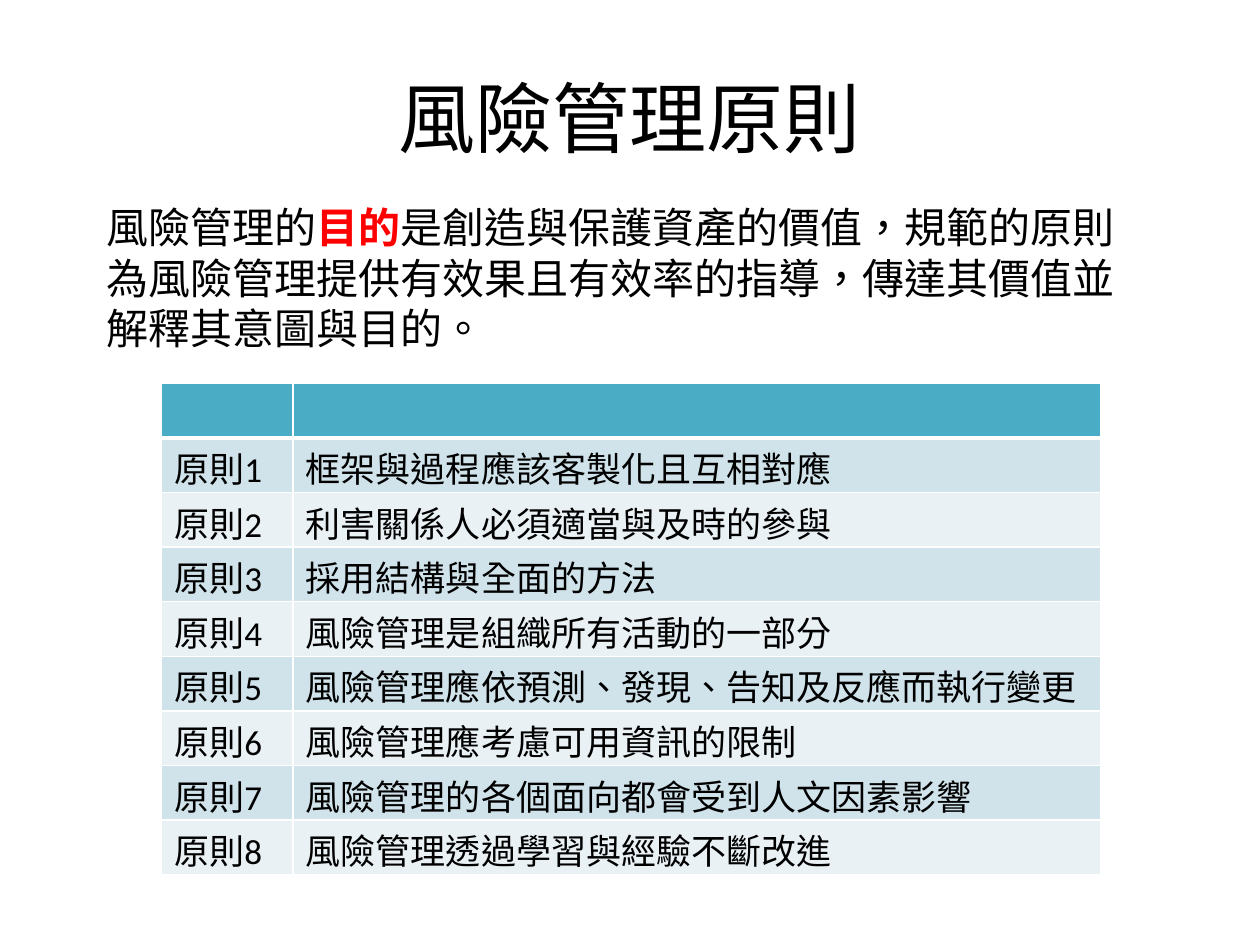
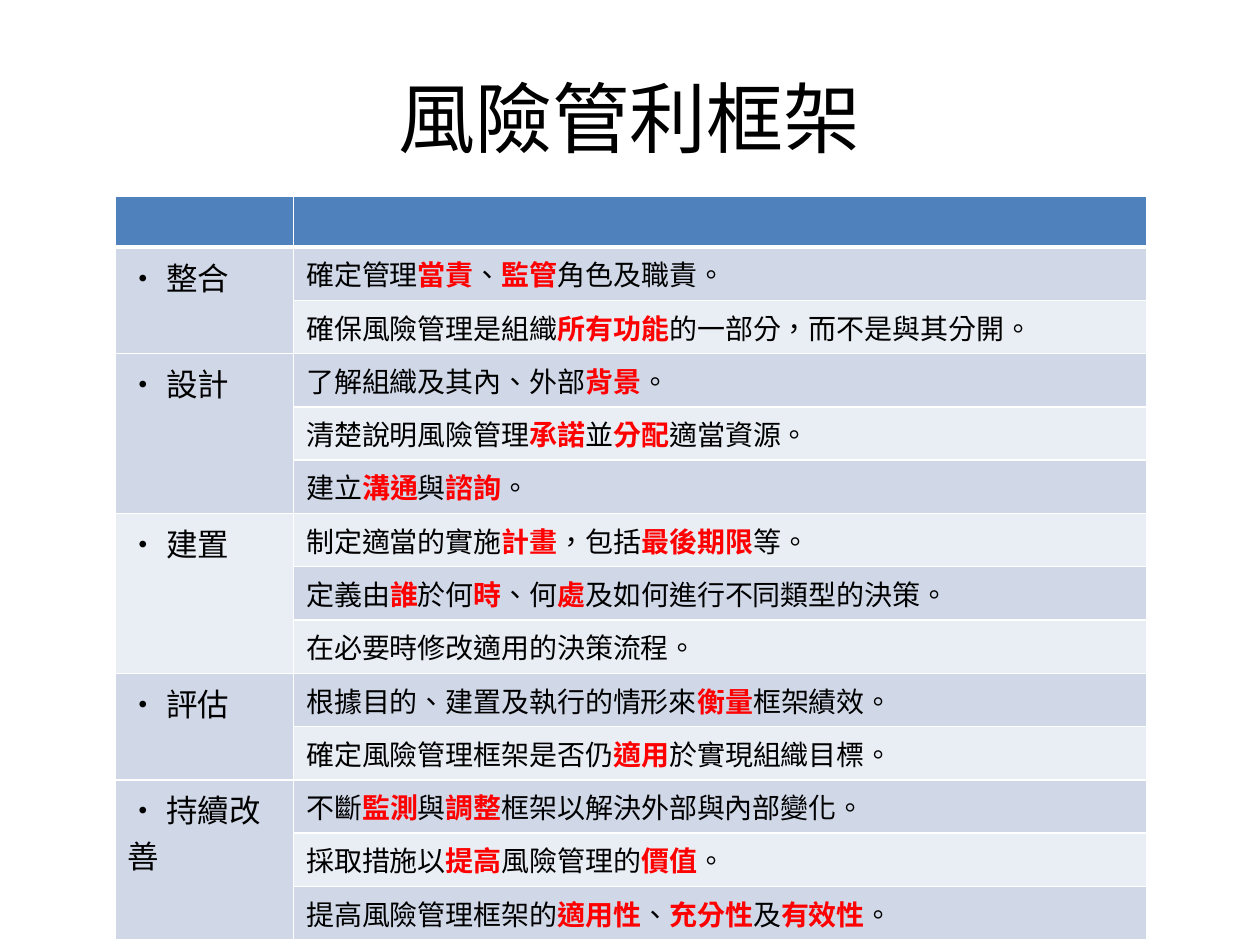
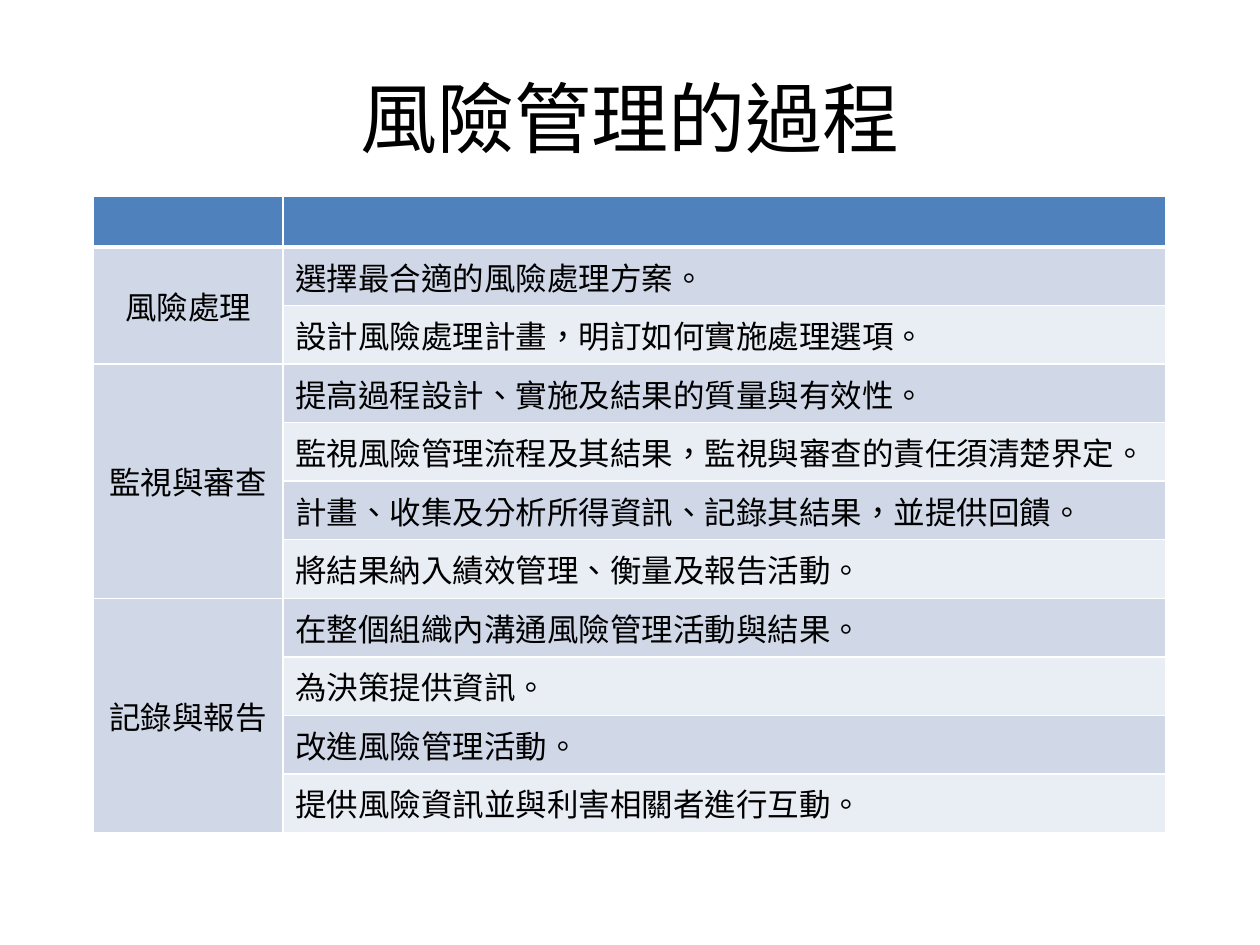
from dataclasses import dataclass

from lxml import etree
from pptx import Presentation
from pptx.dml.color import RGBColor
from pptx.enum import lang, text
from pptx.oxml import ns
from pptx.util import Cm, Pt


# Colours and type sizes
@dataclass(frozen=True)
class Theme:
    font: str = "Calibri"
    ink: str = "000000"
    accent: str = "FF0000"
    line: str = "FFFFFF"
    teal: tuple = ("4BACC6", "D0E3EA", "E9F1F5")  # header, odd row, even row
    blue: tuple = ("4F81BD", "D0D8E8", "E9EDF4")
    title: int = 44
    intro: int = 24
    row: int = 20
    label: int = 18
    detail: int = 16


theme = Theme()


def write_text(frame, words, size, align=None):
    """Fill a text frame; words between asterisks are bold and in the accent colour."""
    para = frame.paragraphs[0]
    para.alignment = align
    for number, part in enumerate(words.split("*")):
        if not part:
            continue
        strong = number % 2 == 1
        span = para.add_run()
        span.text = part
        span.font.name = theme.font
        span.font.size = Pt(size)
        span.font.bold = strong
        span.font.color.rgb = RGBColor.from_string(theme.accent if strong else theme.ink)
        span.font.language_id = lang.MSO_LANGUAGE_ID.TRADITIONAL_CHINESE


def style_cell(cell, fill, top, bottom):
    """Give a cell its fill and white borders; top and bottom are line widths in points."""
    cell.fill.solid()
    cell.fill.fore_color.rgb = RGBColor.from_string(fill)
    properties = cell._tc.get_or_add_tcPr()
    sides = (("lnL", 1), ("lnR", 1), ("lnT", top), ("lnB", bottom))
    for position, (side, width) in enumerate(sides):
        border = etree.Element(ns.qn(f"a:{side}"), w=str(Pt(width)))
        solid = etree.SubElement(border, ns.qn("a:solidFill"))
        etree.SubElement(solid, ns.qn("a:srgbClr"), val=theme.line)
        properties.insert(position, border)


# Content: each group is a label and the rows beside it
principles = [
    "框架與過程應該客製化且互相對應",
    "利害關係人必須適當與及時的參與",
    "採用結構與全面的方法",
    "風險管理是組織所有活動的一部分",
    "風險管理應依預測、發現、告知及反應而執行變更",
    "風險管理應考慮可用資訊的限制",
    "風險管理的各個面向都會受到人文因素影響",
    "風險管理透過學習與經驗不斷改進",
]
framework = [
    ("• 整合", ["確定管理*當責*、*監管*角色及職責。",
              "確保風險管理是組織*所有功能*的一部分，而不是與其分開。"]),
    ("• 設計", ["了解組織及其內、外部*背景*。",
              "清楚說明風險管理*承諾*並*分配*適當資源。",
              "建立*溝通*與*諮詢*。"]),
    ("• 建置", ["制定適當的實施*計畫*，包括*最後期限*等。",
              "定義由*誰*於何*時*、何*處*及如何進行不同類型的決策。",
              "在必要時修改適用的決策流程。"]),
    ("• 評估", ["根據目的、建置及執行的情形來*衡量*框架績效。",
              "確定風險管理框架是否仍*適用*於實現組織目標。"]),
    ("• 持續改善", ["不斷*監測*與*調整*框架以解決外部與內部變化。",
                "採取措施以*提高*風險管理的*價值*。",
                "提高風險管理框架的*適用性*、*充分性*及*有效性*。"]),
]
process = [
    ("風險處理", ["選擇最合適的風險處理方案。",
              "設計風險處理計畫，明訂如何實施處理選項。"]),
    ("監視與審查", ["提高過程設計、實施及結果的質量與有效性。",
               "監視風險管理流程及其結果，監視與審查的責任須清楚界定。",
               "計畫、收集及分析所得資訊、記錄其結果，並提供回饋。",
               "將結果納入績效管理、衡量及報告活動。"]),
    ("記錄與報告", ["在整個組織內溝通風險管理活動與結果。",
               "為決策提供資訊。",
               "改進風險管理活動。",
               "提供風險資訊並與利害相關者進行互動。"]),
]

# Pages: lengths in centimetres
pages = [
    dict(title="風險管理原則",
         intro="風險管理的*目的*是創造與保護資產的價值，規範的原則為風險管理提供有效果且有效率的指導，"
               "傳達其價值並解釋其意圖與目的。",
         groups=[(f"原則{number}", [line]) for number, line in enumerate(principles, 1)],
         left=3.26, top=7.73, columns=(2.65, 16.27), header=1.1, row=1.1,
         margins=(0.08, 0), colours=theme.teal, sizes=(theme.row, theme.row), centred=False),
    dict(title="風險管利框架", intro=None, groups=framework,
         left=2.32, top=3.95, columns=(3.6, 17.2), header=1.03, row=1.07,
         margins=(0.13, 0.13), colours=theme.blue, sizes=(theme.label, theme.detail),
         centred=False),
    dict(title="風險管理的過程", intro=None, groups=process,
         left=1.88, top=3.95, columns=(3.82, 17.8), header=1.03, row=1.17,
         margins=(0.13, 0.13), colours=theme.blue, sizes=(theme.label, theme.label),
         centred=True),
]

deck = Presentation()
deck.slide_width, deck.slide_height = Cm(25.4), Cm(19.05)

for content in pages:
    page = deck.slides.add_slide(deck.slide_layouts[5])

    # Title
    title = page.shapes.title
    title.left, title.top, title.width, title.height = Cm(1.27), Cm(0.76), Cm(22.86), Cm(3.18)
    title.text_frame.vertical_anchor = text.MSO_ANCHOR.MIDDLE
    write_text(title.text_frame, content["title"], size=theme.title, align=text.PP_ALIGN.CENTER)

    # Introduction
    if content["intro"]:
        box = page.shapes.add_textbox(Cm(1.9), Cm(3.94), Cm(21.6), Cm(3.33))
        box.text_frame.word_wrap = True
        write_text(box.text_frame, content["intro"], size=theme.intro)

    # Table grid
    count = sum(len(lines) for label, lines in content["groups"])
    table = page.shapes.add_table(
        count + 1, 2, Cm(content["left"]), Cm(content["top"]),
        Cm(sum(content["columns"])), Cm(content["header"] + count * content["row"])).table
    table.first_row = table.horz_banding = False
    for column, width in zip(table.columns, content["columns"]):
        column.width = Cm(width)
    header_fill, odd_fill, even_fill = content["colours"]
    for index, row in enumerate(table.rows):
        row.height = Cm(content["row"] if index else content["header"])
        fill = (odd_fill if index % 2 else even_fill) if index else header_fill
        for cell in row.cells:
            style_cell(cell, fill, top=3 if index == 1 else 1, bottom=1 if index else 3)
            if index:
                cell.margin_top, cell.margin_bottom = map(Cm, content["margins"])

    # Table text
    label_size, line_size = content["sizes"]
    start = 1
    for label, lines in content["groups"]:
        head = table.cell(start, 0)
        if len(lines) > 1:
            head.merge(table.cell(start + len(lines) - 1, 0))
        if content["centred"]:
            head.vertical_anchor = text.MSO_ANCHOR.MIDDLE
        write_text(head.text_frame, label, size=label_size,
                   align=text.PP_ALIGN.CENTER if content["centred"] else None)
        for offset, line in enumerate(lines):
            write_text(table.cell(start + offset, 1).text_frame, line, size=line_size)
        start += len(lines)

deck.save("out.pptx")
